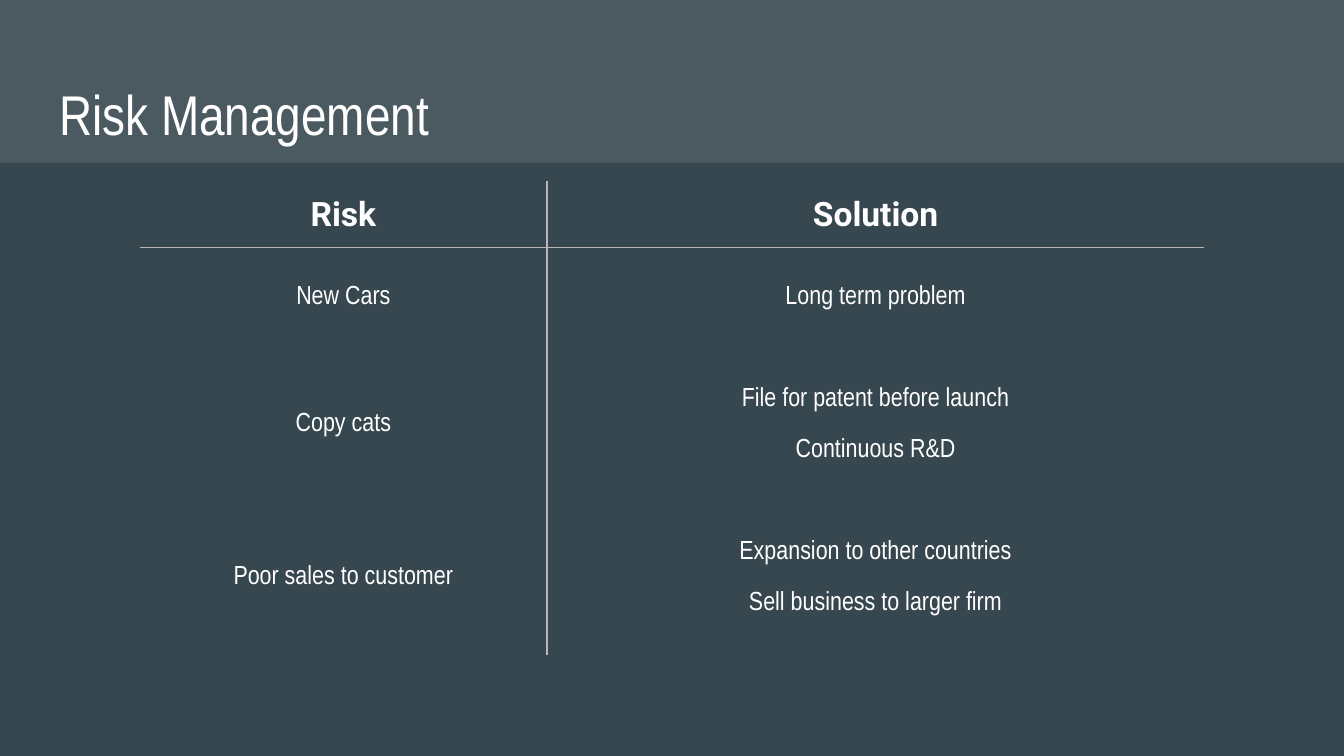
from lxml import etree
from pptx import Presentation
from pptx.dml.color import RGBColor
from pptx.enum.shapes import MSO_SHAPE as Shape
from pptx.enum.text import MSO_ANCHOR as Anchor, PP_ALIGN as Align
from pptx.oxml.ns import qn
from pptx.util import Inches, Pt

COLORS = {"background": "37474F", "text": "FFFFFF", "band": "FFFFFF", "rule": "B7B7B7"}
BODY_FONT, HEADER_FONT = "Arial Narrow", "Roboto"


def color(name):
    return RGBColor.from_string(COLORS[name])


def write_text(frame, text, size=14, font=BODY_FONT, bold=False, align=Align.LEFT):
    frame.word_wrap = True
    paragraph = frame.paragraphs[0]
    paragraph.alignment = align
    run = paragraph.add_run()
    run.text = text
    run.font.size = Pt(size)
    run.font.name = font
    run.font.bold = bold
    run.font.color.rgb = color("text")


class SlideBuilder:
    def __init__(self, presentation):
        self.slide = presentation.slides.add_slide(presentation.slide_layouts[5])
        fill = self.slide.background.fill
        fill.solid()
        fill.fore_color.rgb = color("background")

    def band(self, left, top, width, height, opacity):
        shape = self.slide.shapes.add_shape(
            Shape.RECTANGLE, Inches(left), Inches(top), Inches(width), Inches(height))
        shape.shadow.inherit = False
        shape.line.fill.background()
        shape.fill.solid()
        shape.fill.fore_color.rgb = color("band")
        tint = next(shape.fill._xPr.iter(qn("a:srgbClr")))
        etree.SubElement(tint, qn("a:alpha"), val=str(opacity * 1000))
        # Keep the band behind the title
        self.slide.shapes._spTree.insert(2, shape._element)

    def title(self, text, left, top, width, height):
        shape = self.slide.shapes.title
        shape.left, shape.top = Inches(left), Inches(top)
        shape.width, shape.height = Inches(width), Inches(height)
        frame = shape.text_frame
        frame.margin_left = frame.margin_right = frame.margin_top = Inches(0.1)
        frame.margin_bottom = Inches(0.03)
        frame.vertical_anchor = Anchor.BOTTOM
        write_text(frame, text, size=30)

    def table(self, left, top, widths, heights):
        table = self.slide.shapes.add_table(
            len(heights), len(widths), Inches(left), Inches(top),
            Inches(sum(widths)), Inches(sum(heights))).table
        table.first_row = table.horz_banding = False
        for column, width in zip(table.columns, widths):
            column.width = Inches(width)
        for row, height in zip(table.rows, heights):
            row.height = Inches(height)
        return table

    def cell(self, cell, text, anchor=Anchor.MIDDLE, **text_format):
        cell.vertical_anchor = anchor
        cell.margin_left = cell.margin_right = Inches(0.1)
        cell.margin_top = cell.margin_bottom = Inches(0.1)
        if text:
            write_text(cell.text_frame, text, align=Align.CENTER, **text_format)

    def borders(self, cell, ruled):
        cell.fill.background()
        properties = cell._tc.get_or_add_tcPr()
        for index, side in enumerate("LRTB"):
            line = etree.Element(qn("a:ln" + side), w=str(Pt(0.75)))
            if side in ruled:
                fill = etree.SubElement(line, qn("a:solidFill"))
                etree.SubElement(fill, qn("a:srgbClr"), val=COLORS["rule"])
            else:
                etree.SubElement(line, qn("a:noFill"))
            properties.insert(index, line)


def main():
    presentation = Presentation()
    # Widescreen 16:9
    presentation.slide_width = Inches(10)
    presentation.slide_height = Inches(10 * 9 / 16)
    builder = SlideBuilder(presentation)

    # Heading
    builder.band(0, 0, 10, 1.21, opacity=10)
    builder.title("Risk Management", 0.34, 0.49, 9.32, 0.63)

    # Risks and their solutions
    rows = [
        ("Risk", "Solution"),
        ("New Cars", "Long term problem"),
        ("Copy cats", "File for patent before launch"),
        ("", "Continuous R&D"),
        ("Poor sales to customer", "Expansion to other countries"),
        ("", "Sell business to larger firm"),
    ]
    table = builder.table(1.04, 1.35, [3.03, 4.89], [0.49, 0.75] + [0.57] * 4)
    # Paired solutions sit close to the row edge they share
    solution_anchors = [Anchor.MIDDLE] * 2 + [Anchor.BOTTOM, Anchor.TOP] * 2
    for index, (risk, solution) in enumerate(rows):
        text_format = dict(size=18, font=HEADER_FONT, bold=True) if index == 0 else {}
        risk_cell, solution_cell = table.cell(index, 0), table.cell(index, 1)
        builder.cell(risk_cell, risk, **text_format)
        builder.cell(solution_cell, solution, solution_anchors[index], **text_format)
        header_rule = {0: "B", 1: "T"}.get(index, "")
        builder.borders(risk_cell, "R" + header_rule)
        builder.borders(solution_cell, "L" + header_rule)
    for first in (2, 4):
        table.cell(first, 0).merge(table.cell(first + 1, 0))

    presentation.save("out.pptx")


if __name__ == "__main__":
    main()
